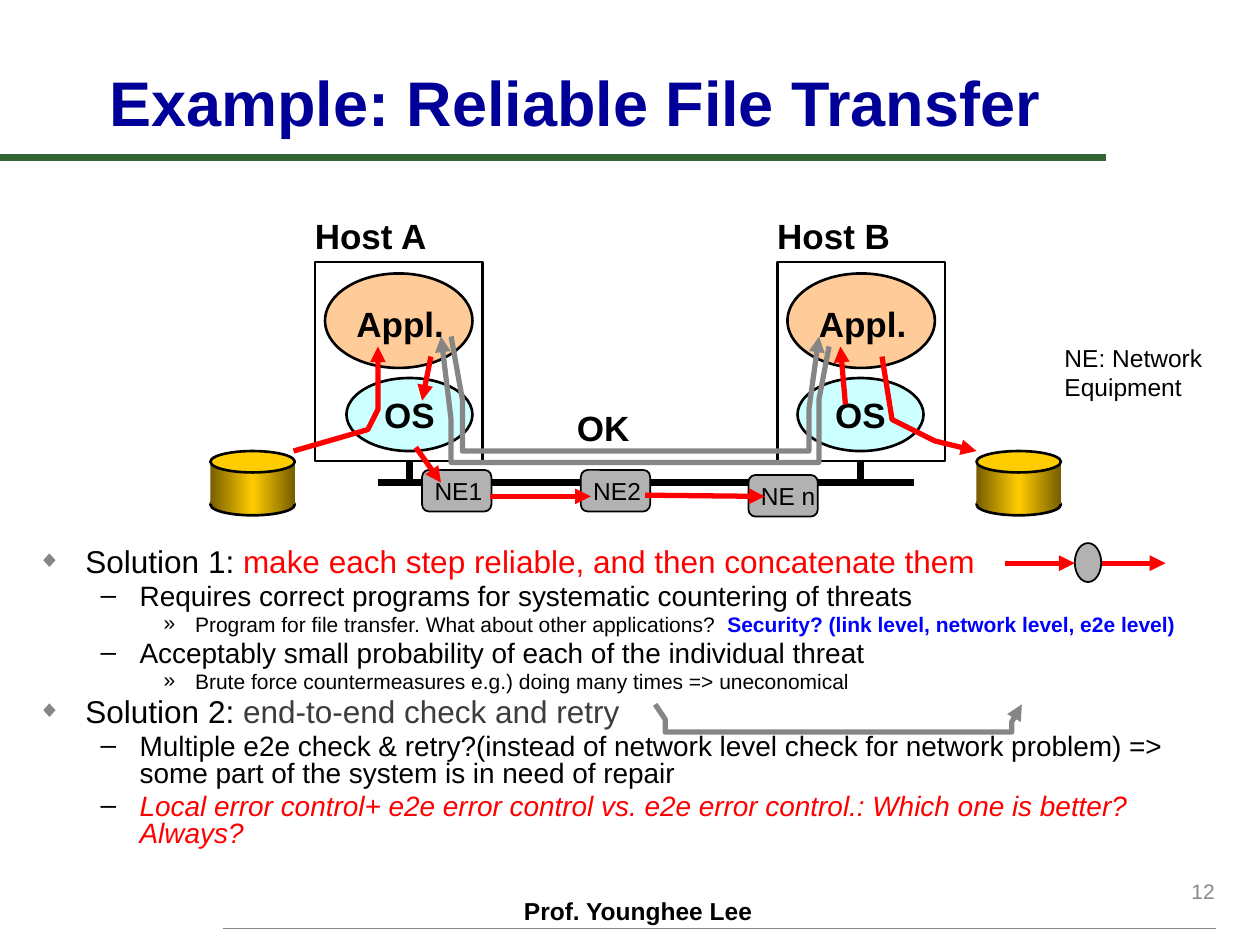
from copy import deepcopy
from dataclasses import dataclass
from typing import Optional

import pptx
import pptx.dml.color
import pptx.enum.shapes
import pptx.enum.text
import pptx.oxml.ns
import pptx.util

Inches = pptx.util.Inches
Pt = pptx.util.Pt
RGBColor = pptx.dml.color.RGBColor
MSO_SHAPE = pptx.enum.shapes.MSO_SHAPE
PP_ALIGN = pptx.enum.text.PP_ALIGN
MSO_ANCHOR = pptx.enum.text.MSO_ANCHOR
qn = pptx.oxml.ns.qn

BLACK = RGBColor(0x00, 0x00, 0x00)
RED = RGBColor(0xFF, 0x00, 0x00)
BLUE = RGBColor(0x00, 0x00, 0xFF)
NAVY = RGBColor(0x00, 0x00, 0x99)
GREEN = RGBColor(0x33, 0x66, 0x33)
GRAY = RGBColor(0x86, 0x86, 0x86)
PAGE_GRAY = RGBColor(0x89, 0x89, 0x89)
DARK_GRAY = RGBColor(0x3C, 0x3C, 0x3C)
BOX_GRAY = RGBColor(0xB2, 0xB2, 0xB2)
PEACH = RGBColor(0xFF, 0xCC, 0x99)
CYAN = RGBColor(0xCC, 0xFF, 0xFF)
GOLD = RGBColor(0xFF, 0xCC, 0x00)
DARK_GOLD = RGBColor(0x76, 0x5E, 0x00)
FONT = "Arial"


@dataclass
class Span:
    text: str
    color: RGBColor = BLACK
    bold: bool = False
    italic: bool = False


@dataclass
class Item:
    level: int
    spans: list[Span]


@dataclass
class Level:
    size: int
    margin: float
    hang: float
    bullet: str
    color: str
    percent: int


@dataclass
class Host:
    name: str
    x: float
    os_x: float


@dataclass
class Equipment:
    name: str
    x: float
    y: float


LEVELS = [
    Level(18, 0.38, 0.38, "◆", "868686", 75),
    Level(16, 0.81, 0.31, "–", "000000", 100),
    Level(12, 1.25, 0.25, "»", "000000", 100),
]
ITEMS = [
    Item(0, [Span("Solution 1: "), Span("make each step reliable, and then concatenate them", RED)]),
    Item(1, [Span("Requires correct programs for systematic countering of threats")]),
    Item(2, [Span("Program for file transfer. What about other applications?  "),
             Span("Security? (link level, network level, e2e level)", BLUE, bold=True)]),
    Item(1, [Span("Acceptably small probability of each of the individual threat")]),
    Item(2, [Span("Brute force countermeasures e.g.) doing many times => uneconomical")]),
    Item(0, [Span("Solution 2: "), Span("end-to-end check and retry", DARK_GRAY)]),
    Item(1, [Span("Multiple e2e check & retry?(instead of network level check for network "
                  "problem) => some part of the system is in need of repair")]),
    Item(1, [Span("Local error control+ e2e error control vs. e2e error control.: "
                  "Which one is better? Always?", RED, italic=True)]),
]
HOSTS = [Host("Host A", 2.5, 2.75), Host("Host B", 6.17, 6.33)]
EQUIPMENT = [Equipment("NE1", 3.35, 3.73), Equipment("NE2", 4.61, 3.73), Equipment("NE n", 5.94, 3.77)]
DISK_XS = [1.67, 7.75]
BUS_LINES = [[(3, 3.83), (7.25, 3.83)], [(3.25, 3.67), (3.25, 3.83)], [(6.83, 3.67), (6.83, 3.83)]]
HOST_ARROWS = [
    [(2.33, 3.58), (2.92, 3.41), (3, 3.25), (3, 2.75)],
    [(3.42, 2.83), (3.35, 3.18)],
    [(6.71, 3.21), (6.67, 2.75)],
    [(7, 2.83), (7.08, 3.33), (7.42, 3.5), (7.75, 3.58)],
]
CHECK_ARROWS = [
    [(6.58, 2.75), (6.5, 3.17), (6.5, 3.67), (3.58, 3.67), (3.58, 3.33), (3.5, 2.67)],
    [(3.58, 2.67), (3.67, 3.17), (3.67, 3.58), (6.42, 3.58), (6.42, 3.25), (6.5, 2.67)],
    [(5.2, 5.59), (5.28, 5.71), (5.28, 5.81), (8.03, 5.81), (8.03, 5.73), (8.11, 5.59)],
]
STEP_ARROWS = [
    [(3.3, 3.55), (3.5, 3.83)],
    [(3.89, 3.94), (4.69, 3.94)],
    [(5.12, 3.93), (6.07, 3.94)],
    [(7.98, 4.47), (8.53, 4.47)],
    [(8.7, 4.47), (9.25, 4.47)],
]


def set_text(sp, text: str, size: int, color: RGBColor = BLACK, bold: bool = False,
             align=PP_ALIGN.LEFT, anchor=MSO_ANCHOR.TOP, wrap: bool = False) -> None:
    tf = sp.text_frame
    tf.text = text
    tf.word_wrap = wrap
    tf.vertical_anchor = anchor
    p = tf.paragraphs[0]
    p.alignment = align
    font = p.runs[0].font
    font.name, font.size, font.bold = FONT, Pt(size), bold
    font.color.rgb = color


def add_label(s, x: float, y: float, w: float, h: float, text: str, size: int, **style) -> None:
    sp = s.shapes.add_textbox(Inches(x), Inches(y), Inches(w), Inches(h))
    set_text(sp, text, size, **style)


def add_box(s, kind, x: float, y: float, w: float, h: float,
            fill: Optional[RGBColor] = None, width: float = 1.5):
    sp = s.shapes.add_shape(kind, Inches(x), Inches(y), Inches(w), Inches(h))
    sp.shadow.inherit = False
    if fill is None:
        sp.fill.background()
    else:
        sp.fill.solid()
        sp.fill.fore_color.rgb = fill
    if width:
        sp.line.color.rgb = BLACK
        sp.line.width = Pt(width)
    else:
        sp.line.fill.background()
    return sp


def fill_metal(sp) -> None:
    sp.fill.gradient()
    sp.fill.gradient_angle = 0
    stops = sp._element.spPr.find(".//" + qn("a:gsLst"))
    stops.append(deepcopy(stops[0]))
    for stop, pos, color in zip(sp.fill.gradient_stops, (0, 0.5, 1), (DARK_GOLD, GOLD, DARK_GOLD)):
        stop.position = pos
        stop.color.rgb = color


def add_path(s, points: list, color: RGBColor, width: float, arrow: bool = True) -> None:
    pts = [(Inches(x), Inches(y)) for x, y in points]
    if len(pts) == 2:
        sp = s.shapes.add_connector(pptx.enum.shapes.MSO_CONNECTOR.STRAIGHT, *pts[0], *pts[1])
    else:
        builder = s.shapes.build_freeform(*pts[0])
        builder.add_line_segments(pts[1:], close=False)
        sp = builder.convert_to_shape()
        sp.fill.background()
    sp.line.color.rgb = color
    sp.line.width = Pt(width)
    spPr = sp._element.spPr
    if arrow:
        ln = spPr.find(qn("a:ln"))
        ln.append(ln.makeelement(qn("a:tailEnd"), {"type": "triangle"}))
    spPr.append(spPr.makeelement(qn("a:effectLst"), {}))


def add_disk(s, x: float) -> None:
    fill_metal(add_box(s, MSO_SHAPE.OVAL, x, 3.92, 0.67, 0.17))
    fill_metal(add_box(s, MSO_SHAPE.RECTANGLE, x, 3.67, 0.67, 0.33, width=0))
    add_box(s, MSO_SHAPE.OVAL, x, 3.58, 0.67, 0.17, GOLD)


def add_host(s, host: Host) -> None:
    add_box(s, MSO_SHAPE.OVAL, host.x + 0.08, 2.17, 1.17, 0.75, PEACH)
    add_box(s, MSO_SHAPE.RECTANGLE, host.x, 2.08, 1.33, 1.58)
    sp = add_box(s, MSO_SHAPE.OVAL, host.os_x, 3, 1, 0.58, CYAN)
    set_text(sp, "OS", 20, bold=True, align=PP_ALIGN.CENTER, anchor=MSO_ANCHOR.MIDDLE)
    add_label(s, host.x + 0.23, 2.35, 0.9, 0.43, "Appl.", 20, bold=True)
    add_label(s, host.x - 0.1, 1.65, 1.1, 0.43, host.name, 20, bold=True)


def add_equipment(s, ne: Equipment) -> None:
    add_box(s, MSO_SHAPE.ROUNDED_RECTANGLE, ne.x, ne.y, 0.55, 0.33, BOX_GRAY, 1)
    add_label(s, ne.x, ne.y, 0.68, 0.33, ne.name, 14, anchor=MSO_ANCHOR.MIDDLE, wrap=True)


def add_outline(s, items: list[Item]) -> None:
    tf = s.shapes.add_textbox(Inches(0.2), Inches(4.31), Inches(9.69), Inches(2.84)).text_frame
    tf.word_wrap = True
    for i, item in enumerate(items):
        level = LEVELS[item.level]
        p = tf.add_paragraph() if i else tf.paragraphs[0]
        p.level = item.level
        p.line_spacing = 0.8
        if i:
            p.space_before = Pt(level.size * 0.2)
        pPr = p._p.get_or_add_pPr()
        pPr.set("marL", str(Inches(level.margin)))
        pPr.set("indent", str(-Inches(level.hang)))
        color = pPr.makeelement(qn("a:buClr"), {})
        color.append(color.makeelement(qn("a:srgbClr"), {"val": level.color}))
        pPr.append(color)
        for tag, attrs in (("a:buSzPct", {"val": str(level.percent * 1000)}),
                           ("a:buFont", {"typeface": FONT}), ("a:buChar", {"char": level.bullet})):
            pPr.append(pPr.makeelement(qn(tag), attrs))
        for span in item.spans:
            r = p.add_run()
            r.text = span.text
            r.font.name, r.font.size = FONT, Pt(level.size)
            r.font.bold, r.font.italic = span.bold, span.italic
            r.font.color.rgb = span.color


def main() -> None:
    """Build the reliable file transfer slide."""
    prs = pptx.Presentation()
    prs.slide_width, prs.slide_height = Inches(10), Inches(7.5)
    s = prs.slides.add_slide(prs.slide_layouts[6])
    add_path(s, [(0, 1.25), (8.78, 1.25)], GREEN, 4, arrow=False)
    add_path(s, [(1.77, 7.37), (9.65, 7.37)], GRAY, 1, arrow=False)
    add_label(s, 4.06, 7.06, 2.08, 0.33, "Prof. Younghee Lee", 14, bold=True, wrap=True)
    add_label(s, 7.66, 6.82, 2.08, 0.5, "12", 12, color=PAGE_GRAY, align=PP_ALIGN.RIGHT,
              anchor=MSO_ANCHOR.MIDDLE, wrap=True)
    add_label(s, 0.77, 0.44, 8.15, 0.71, "Example: Reliable File Transfer", 36, color=NAVY,
              bold=True, anchor=MSO_ANCHOR.BOTTOM, wrap=True)
    add_outline(s, ITEMS)
    for x in DISK_XS:
        add_disk(s, x)
    for host in HOSTS:
        add_host(s, host)
    for points in BUS_LINES:
        add_path(s, points, BLACK, 4, arrow=False)
    for points in HOST_ARROWS:
        add_path(s, points, RED, 3)
    for points in CHECK_ARROWS:
        add_path(s, points, GRAY, 3)
    add_label(s, 4.48, 3.18, 0.62, 0.43, "OK", 20, bold=True)
    for ne in EQUIPMENT:
        add_equipment(s, ne)
    for points in STEP_ARROWS:
        add_path(s, points, RED, 3)
    add_box(s, MSO_SHAPE.OVAL, 8.53, 4.31, 0.21, 0.31, BOX_GRAY, 1)
    add_label(s, 8.35, 2.67, 1.3, 0.57, "NE: Network Equipment", 14, wrap=True)
    prs.save("out.pptx")


if __name__ == "__main__":
    main()
